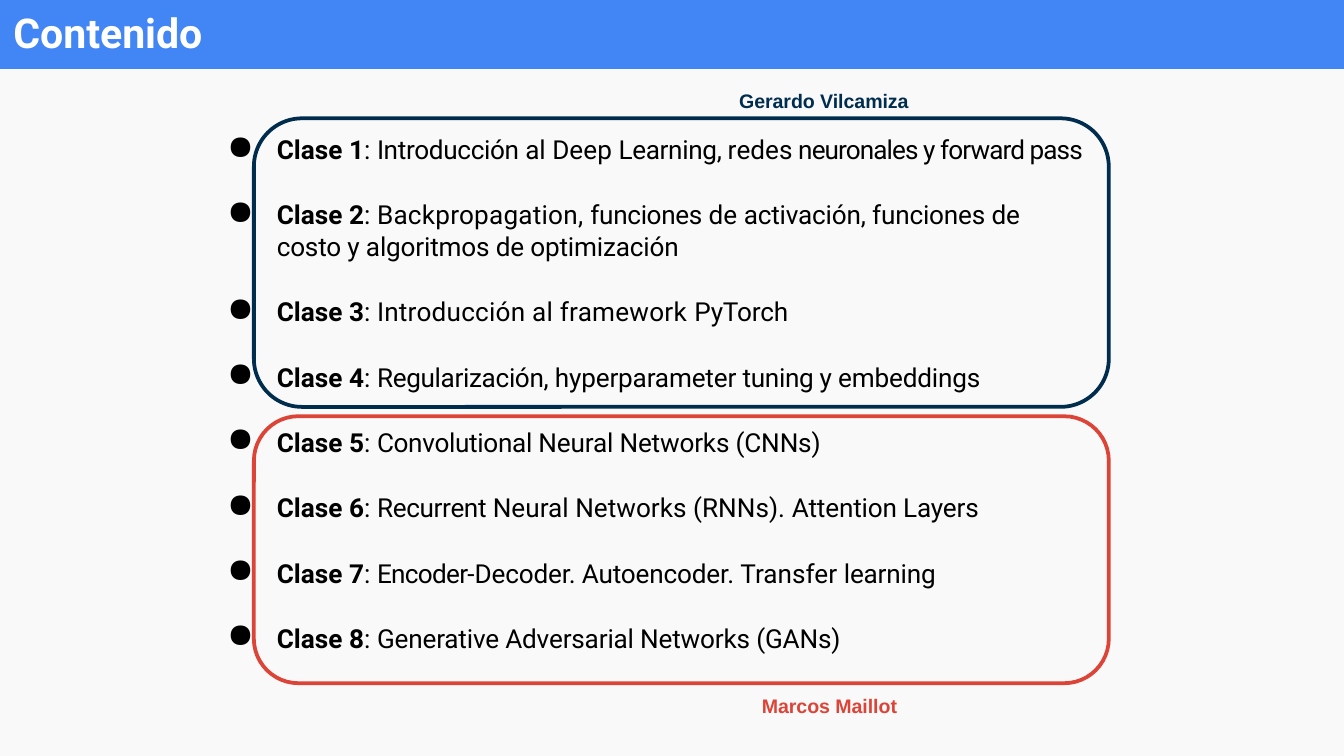
from lxml import etree
from pptx import Presentation
from pptx.dml.color import RGBColor
from pptx.enum.shapes import MSO_SHAPE
from pptx.oxml.ns import qn
from pptx.util import Pt

RECTANGLE = MSO_SHAPE.RECTANGLE
ROUNDED = MSO_SHAPE.ROUNDED_RECTANGLE

COLOURS = {
    "background": "F9F9F9",
    "header": "4285F4",
    "title": "FFFFFF",
    "text": "000000",
    "navy": "002D4E",
    "red": "DB4437",
}
PAGE_WIDTH, PAGE_HEIGHT = 720, 405

# Each class is a list of (text, letter spacing in points) after its label.
CLASSES = [
    [("Introducción ", -0.2), ("al Deep ", 0), ("Learning, r", -0.2),
     ("edes", 0), (" neuronales y forward pass", -0.5)],
    [("Backpropagation, ", 0.1), ("funciones ", -0.2), ("de ", 0),
     ("activación, funciones de costo y algoritmos de optimización", -0.1)],
    [("Introducción al framework ", 0.1), ("PyTorch", -0.1)],
    [("Regularización, ", -0.2), ("hyperparameter ", -0.1),
     ("tuning y ", -0.2), ("embeddings", -0.1)],
    [("Convolutional ", -0.2), ("Neural Networks (CNNs)", -0.1)],
    [("Recurrent ", -0.2), ("Neural Networks (RNNs). ", 0),
     ("Attention Layers", -0.1)],
    [("Encoder-", -0.4), ("Decoder. Autoencoder. ", -0.1),
     ("Transfer ", 0), ("learning", -0.1)],
    [("Generative Adversarial Networks (GANs)", -0.1)],
]


class SlideBuilder:
    body_font = "Roboto"
    label_font = "Arial"
    body_size = 14
    class_gap = 18.2
    text_indent = 28.1
    bullet_hang = -26.6

    def __init__(self, page):
        self.page = page

    def colour(self, name):
        return RGBColor.from_string(COLOURS[name])

    def background(self, colour):
        fill = self.page.background.fill
        fill.solid()
        fill.fore_color.rgb = self.colour(colour)

    def panel(self, kind, left, top, width, height, line, line_width, fill=None):
        shape = self.page.shapes.add_shape(
            kind, Pt(left), Pt(top), Pt(width), Pt(height))
        shape.shadow.inherit = False
        if fill:
            shape.fill.solid()
            shape.fill.fore_color.rgb = self.colour(fill)
        else:
            shape.fill.background()
        shape.line.color.rgb = self.colour(line)
        shape.line.width = Pt(line_width)

    def text_frame(self, left, top, width, height):
        box = self.page.shapes.add_textbox(
            Pt(left), Pt(top), Pt(width), Pt(height))
        frame = box.text_frame
        frame.word_wrap = True
        frame.margin_left = frame.margin_right = frame.margin_bottom = 0
        frame.margin_top = Pt(0.9)
        return frame

    def style_span(self, span, font, size, colour, bold, spacing=0):
        span.font.name = font
        span.font.size = Pt(size)
        span.font.bold = bold
        span.font.color.rgb = self.colour(colour)
        if spacing:
            span.font._element.set("spc", str(round(spacing * 100)))

    def heading(self, text, left, top, width, height, font, size, colour):
        frame = self.text_frame(left, top, width, height)
        frame.text = text
        para = frame.paragraphs[0]
        para.space_before = Pt(1)
        self.style_span(para.runs[0], font, size, colour, True)

    def bullet(self, para):
        properties = para._p.get_or_add_pPr()
        properties.set("marL", str(Pt(self.text_indent)))
        properties.set("indent", str(Pt(self.bullet_hang)))
        etree.SubElement(properties, qn("a:buSzPct"), val="129000")
        etree.SubElement(properties, qn("a:buChar"), char="●")

    def class_list(self, classes, left, top, width, height):
        frame = self.text_frame(left, top, width, height)
        for number, topics in enumerate(classes, 1):
            para = frame.paragraphs[0] if number == 1 else frame.add_paragraph()
            para.space_before = Pt(1.1 if number == 1 else self.class_gap)
            self.bullet(para)
            parts = [(f"Clase {number}", 0), (": ", 0), *topics]
            for index, (text, spacing) in enumerate(parts):
                span = para.add_run()
                span.text = text
                self.style_span(span, self.body_font, self.body_size,
                                "text", index == 0, spacing)


def main():
    deck = Presentation()
    deck.slide_width, deck.slide_height = Pt(PAGE_WIDTH), Pt(PAGE_HEIGHT)
    builder = SlideBuilder(deck.slides.add_slide(deck.slide_layouts[6]))
    body, label = builder.body_font, builder.label_font

    builder.background("background")
    builder.panel(RECTANGLE, 0, 0, PAGE_WIDTH, 36.7, "header", 0.75, "header")
    builder.heading("Contenido", 7.2, 2.9, 410, 28, body, 22, "title")

    builder.class_list(CLASSES, 120.2, 70.6, 462.2, 286.6)
    builder.panel(ROUNDED, 136, 63.4, 458, 154.6, "navy", 2)
    builder.panel(ROUNDED, 136, 223, 458, 143, "red", 2)

    builder.heading("Gerardo Vilcamiza", 396, 46.8, 119.5, 14, label, 10.5, "navy")
    builder.heading("Marcos Maillot", 408.2, 370.8, 75, 14, label, 10.5, "red")

    deck.save("out.pptx")


if __name__ == "__main__":
    main()
